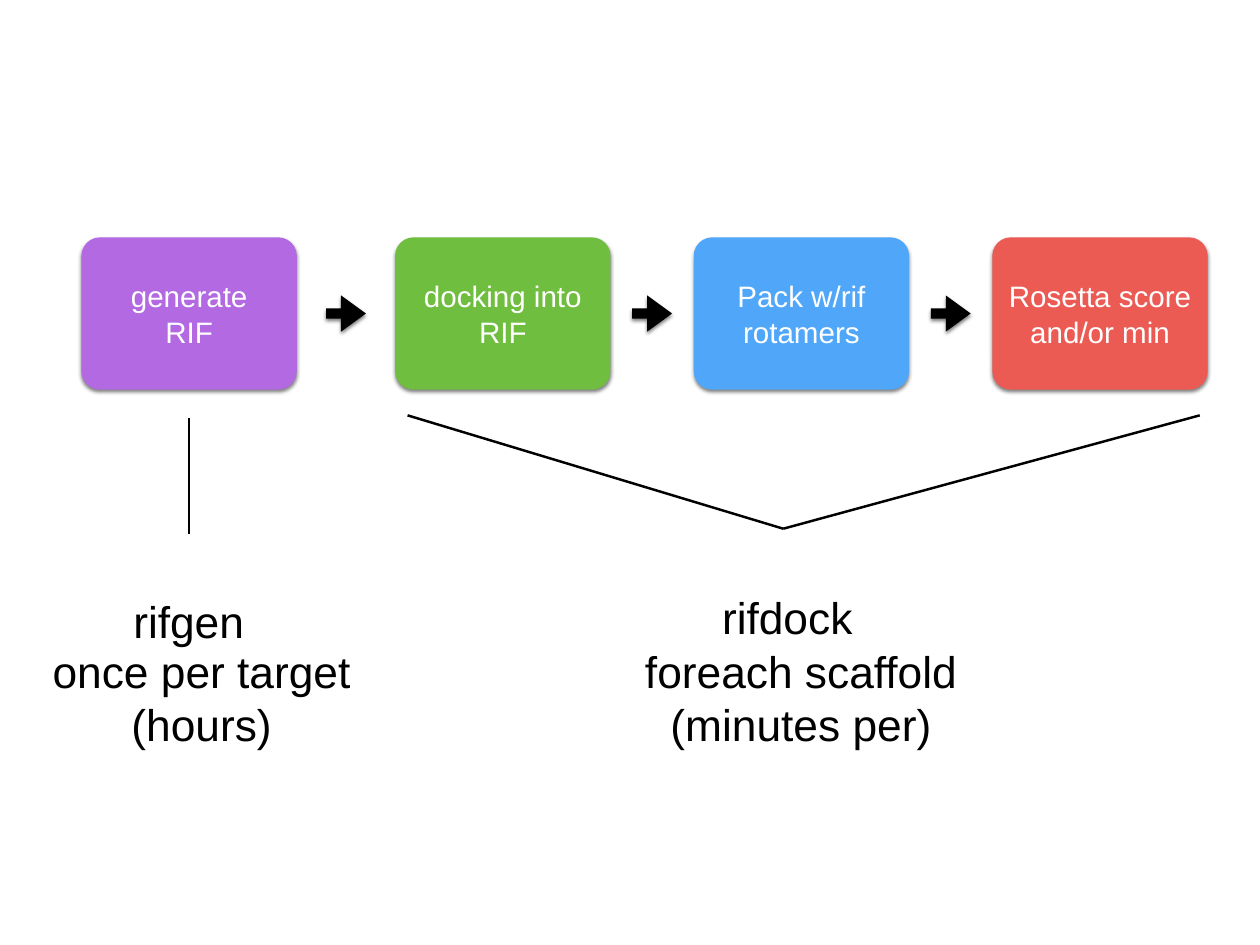
from lxml import etree
from pptx import Presentation
from pptx.dml.color import RGBColor
from pptx.enum.shapes import MSO_CONNECTOR, MSO_SHAPE
from pptx.enum.text import MSO_ANCHOR, PP_ALIGN
from pptx.oxml.ns import qn
from pptx.util import Inches, Pt

BLACK = RGBColor(0x00, 0x00, 0x00)
WHITE = RGBColor(0xFF, 0xFF, 0xFF)
PURPLE = RGBColor(0xB2, 0x69, 0xE1)
GREEN = RGBColor(0x6F, 0xBE, 0x40)
BLUE = RGBColor(0x50, 0xA7, 0xF9)
RED = RGBColor(0xEC, 0x5A, 0x54)

STEPS = [
    (["generate", "RIF"], PURPLE),
    (["docking into RIF"], GREEN),
    (["Pack w/rif rotamers"], BLUE),
    (["Rosetta score and/or min"], RED),
]
# lines, centre x, top, width
LABELS = [
    (["rifgen"], 2.13, 6.35, 1.54),
    (["once per target", "(hours)"], 2.275, 7.22, 3.71),
    (["rifdock"], 8.885, 6.31, 1.79),
    (["foreach scaffold", "(minutes per)"], 9.04, 7.22, 3.86),
]

SLIDE_W, SLIDE_H = 14.22, 10.67
BOX_W, BOX_H, BOX_TOP = 2.43, 1.72, 2.68
FIRST_LEFT, DOCK_LEFT, PITCH = 0.92, 4.46, 3.37
ARROW_W, ARROW_H = 0.45, 0.41
LABEL_H = 1.31
INSET = 0.06
APEX = (8.84, 5.97)
BRACKET_TOP = 4.69


def write(shape, lines, size, color):
    tf = shape.text_frame
    tf.word_wrap = True
    tf.vertical_anchor = MSO_ANCHOR.MIDDLE
    tf.margin_left = tf.margin_right = Inches(INSET)
    tf.margin_top = tf.margin_bottom = Inches(INSET)
    for i, line in enumerate(lines):
        p = tf.add_paragraph() if i else tf.paragraphs[0]
        p.alignment = PP_ALIGN.CENTER
        r = p.add_run()
        r.text = line
        r.font.name = "Arial"
        r.font.size = Pt(size)
        r.font.color.rgb = color


def add_solid(slide, kind, left, top, width, height, fill, adjustments):
    """Add a borderless shape with a soft shadow falling straight down."""
    sp = slide.shapes.add_shape(
        kind, Inches(left), Inches(top), Inches(width), Inches(height))
    for i, value in enumerate(adjustments):
        sp.adjustments[i] = value
    sp.fill.solid()
    sp.fill.fore_color.rgb = fill
    sp.line.fill.background()
    sp.shadow.inherit = False
    effects = sp._element.spPr.find(qn("a:effectLst"))
    shadow = etree.SubElement(
        effects, qn("a:outerShdw"), blurRad=str(Pt(3)), dist=str(Pt(2)),
        dir="5400000", rotWithShape="0")
    color = etree.SubElement(shadow, qn("a:srgbClr"), val=str(BLACK))
    etree.SubElement(color, qn("a:alpha"), val="50000")
    return sp


def add_line(slide, start, end):
    line = slide.shapes.add_connector(
        MSO_CONNECTOR.STRAIGHT, *(Inches(v) for v in (*start, *end)))
    line.line.color.rgb = BLACK
    line.line.width = Pt(2)
    etree.SubElement(line._element.spPr, qn("a:effectLst"))


def main():
    prs = Presentation()
    prs.slide_width, prs.slide_height = Inches(SLIDE_W), Inches(SLIDE_H)
    slide = prs.slides.add_slide(prs.slide_layouts[6])

    lefts = [FIRST_LEFT] + [DOCK_LEFT + PITCH * i for i in range(3)]
    for left, (lines, fill) in zip(lefts, STEPS):
        box = add_solid(slide, MSO_SHAPE.ROUNDED_RECTANGLE, left, BOX_TOP,
                        BOX_W, BOX_H, fill, [0.121])
        write(box, lines, 24, WHITE)

    # Each arrow sits in the middle of the gap between two steps
    arrow_top = BOX_TOP + (BOX_H - ARROW_H) / 2
    for left, following in zip(lefts, lefts[1:]):
        middle = (left + BOX_W + following) / 2
        add_solid(slide, MSO_SHAPE.RIGHT_ARROW, middle - ARROW_W / 2,
                  arrow_top, ARROW_W, ARROW_H, BLACK, [0.285, 0.686])

    stem_x = FIRST_LEFT + BOX_W / 2
    add_line(slide, (stem_x, 6.03), (stem_x, 4.72))
    add_line(slide, APEX, (lefts[1] + 0.14, BRACKET_TOP))
    add_line(slide, APEX, (lefts[3] + BOX_W - 0.09, BRACKET_TOP))

    for lines, center, top, width in LABELS:
        label = slide.shapes.add_textbox(
            Inches(center - width / 2), Inches(top),
            Inches(width), Inches(LABEL_H))
        write(label, lines, 36, BLACK)

    prs.save("out.pptx")


if __name__ == "__main__":
    main()
